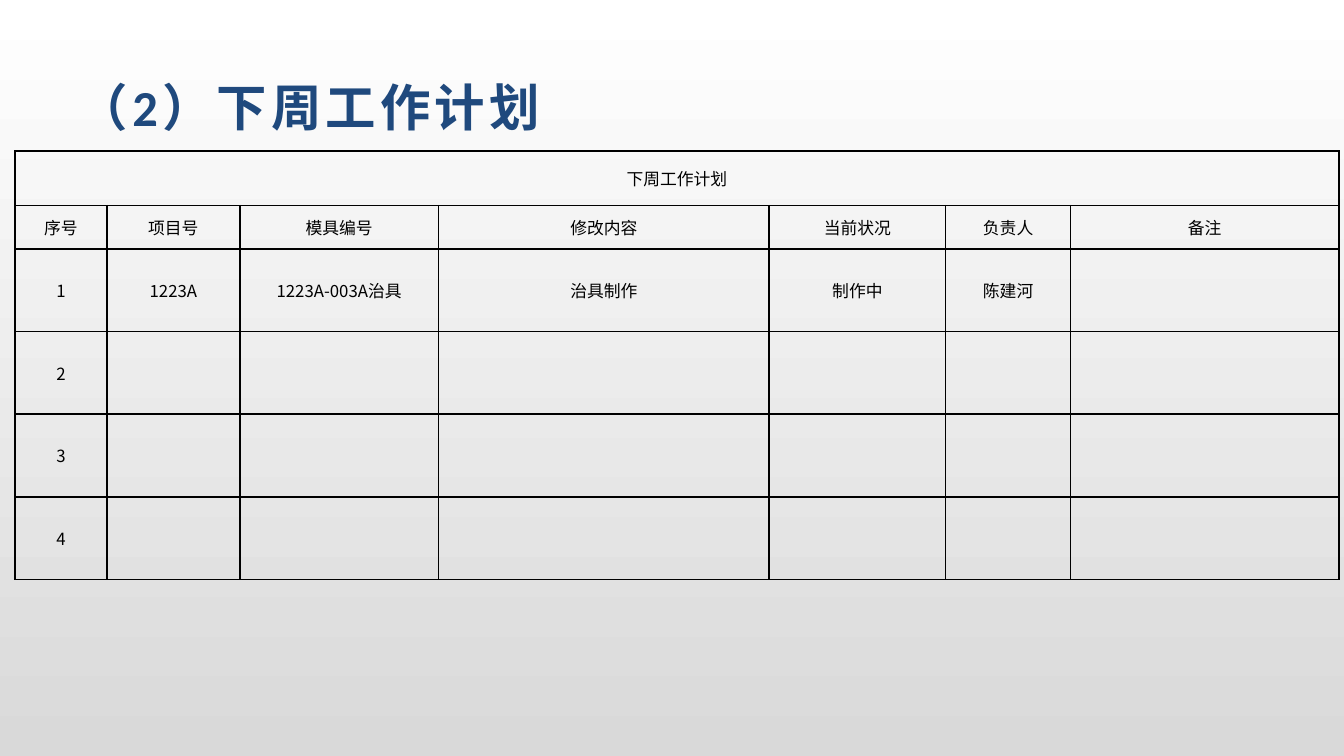
import dataclasses

import lxml.etree
import pptx
import pptx.dml.color
import pptx.enum.text
import pptx.oxml.ns
import pptx.util

Inches = pptx.util.Inches
Pt = pptx.util.Pt
Color = pptx.dml.color.RGBColor
Align = pptx.enum.text.PP_ALIGN
Anchor = pptx.enum.text.MSO_ANCHOR
qn = pptx.oxml.ns.qn

BLACK = Color(0x00, 0x00, 0x00)
NAVY = Color(0x1F, 0x49, 0x7D)
WHITE = Color(0xFF, 0xFF, 0xFF)
GREY = Color(0xD9, 0xD9, 0xD9)
CJK = "Noto Sans CJK SC"


@dataclasses.dataclass
class Column:
    head: str
    width: float
    entry: str = ""


COLUMNS = [
    Column("序号", 0.91, "1"),
    Column("项目号", 1.32, "1223A"),
    Column("模具编号", 1.97, "1223A-003A治具"),
    Column("修改内容", 3.28, "治具制作"),
    Column("当前状况", 1.75, "制作中"),
    Column("负责人", 1.24, "陈建河"),
    Column("备注", 2.66),
]
HEIGHTS = [0.54, 0.43] + [0.82] * 4


def write(frame, text: str, *, size: float = 12, font: str = CJK,
          color: Color = BLACK, bold: bool = False,
          align: Align = Align.CENTER, space: float = 0) -> None:
    """Put one formatted run into a text frame."""
    para = frame.paragraphs[0]
    para.alignment = align
    run = para.add_run()
    run.text = text
    run.font.size = Pt(size)
    run.font.name = font
    run.font.bold = bold
    run.font.color.rgb = color
    props = run.font._element
    lxml.etree.SubElement(props, qn("a:ea")).set("typeface", CJK)
    if space:
        props.set("spc", str(round(space * 100)))


def border(cell, color: Color = BLACK, width: float = 1.2) -> None:
    """Draw a solid line on all four sides of a cell."""
    props = cell._tc.get_or_add_tcPr()
    for spot, side in enumerate("LRTB"):
        line = lxml.etree.Element(qn(f"a:ln{side}"), w=str(Pt(width)))
        fill = lxml.etree.SubElement(line, qn("a:solidFill"))
        lxml.etree.SubElement(fill, qn("a:srgbClr")).set("val", str(color))
        props.insert(spot, line)


def style(cell) -> None:
    """Make a cell clear, centred and without margins."""
    cell.fill.background()
    cell.vertical_anchor = Anchor.MIDDLE
    cell.margin_left = cell.margin_right = 0
    cell.margin_top = cell.margin_bottom = 0
    border(cell)


deck = pptx.Presentation()
deck.slide_width, deck.slide_height = Inches(13.33), Inches(7.5)
slide = deck.slides.add_slide(deck.slide_layouts[5])

# Background, light at the top
back = slide.background.fill
back.gradient()
back.gradient_angle = 270
for stop, color, place in zip(back.gradient_stops, (WHITE, GREY), (0, 1)):
    stop.color.rgb = color
    stop.position = place

# Title
title = slide.shapes.title
title.left, title.top = Inches(0.67), Inches(0.67)
title.width, title.height = Inches(12), Inches(0.77)
title.text_frame.vertical_anchor = Anchor.MIDDLE
write(title.text_frame, "（2）下周工作计划", size=36, font="Calibri",
      color=NAVY, bold=True, align=Align.LEFT, space=3)

# Plan table
table = slide.shapes.add_table(
    len(HEIGHTS), len(COLUMNS), Inches(0.15), Inches(1.5),
    Inches(sum(col.width for col in COLUMNS)), Inches(sum(HEIGHTS))).table
table.first_row = table.horz_banding = False
for row, height in zip(table.rows, HEIGHTS):
    row.height = Inches(height)
for slot, col in zip(table.columns, COLUMNS):
    slot.width = Inches(col.width)
for cell in table.iter_cells():
    style(cell)

# Table text
table.cell(0, 0).merge(table.cell(0, len(COLUMNS) - 1))
write(table.cell(0, 0).text_frame, "下周工作计划")
for place, col in enumerate(COLUMNS):
    write(table.cell(1, place).text_frame, col.head)
    if col.entry:
        write(table.cell(2, place).text_frame, col.entry)
for row in range(3, len(HEIGHTS)):
    write(table.cell(row, 0).text_frame, str(row - 1))

deck.save("out.pptx")
